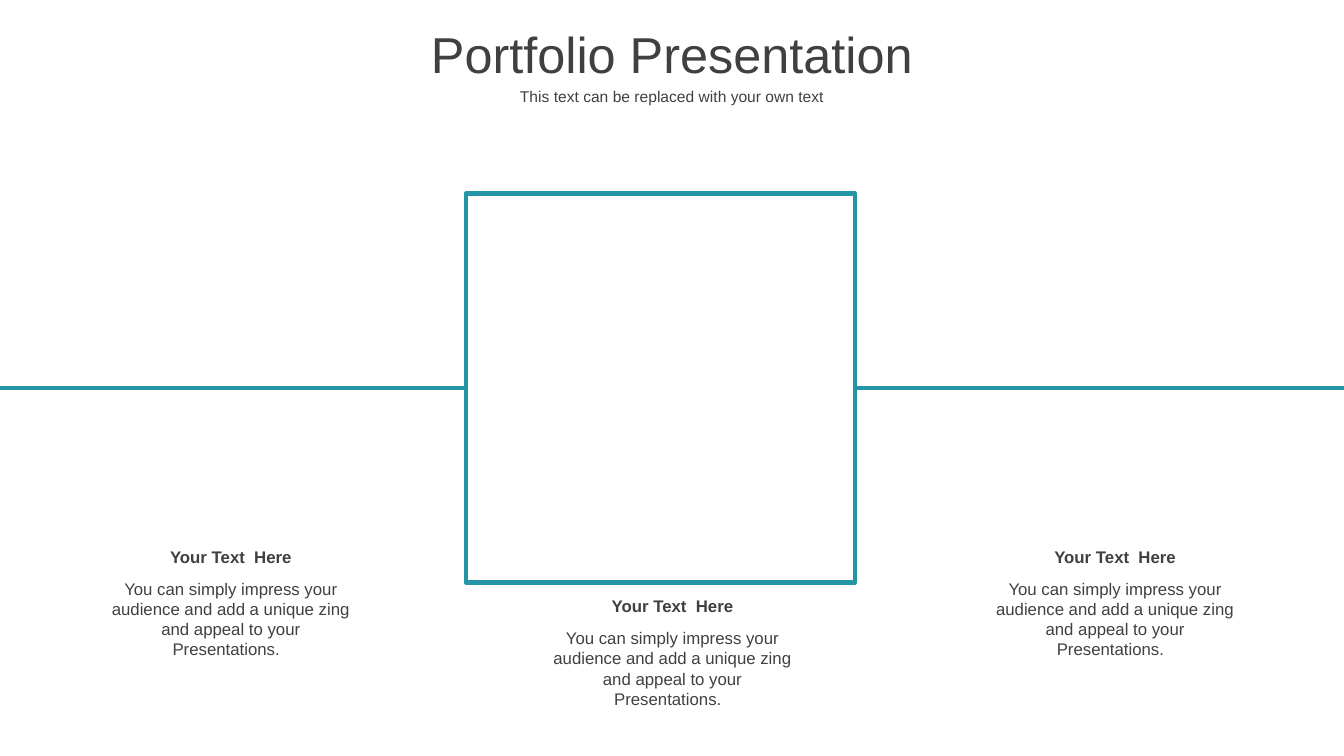
from pptx import Presentation
from pptx.dml.color import RGBColor
from pptx.enum.shapes import MSO_CONNECTOR as CONN, MSO_SHAPE as SHAPE
from pptx.enum.text import MSO_ANCHOR as ANCHOR, MSO_AUTO_SIZE as AUTO, PP_ALIGN as ALIGN
from pptx.oxml.ns import qn
from pptx.util import Inches, Pt
from lxml import etree

TEAL = RGBColor(0x23, 0x95, 0xA6)
GREY = RGBColor(0x40, 0x40, 0x40)
WHITE = RGBColor(0xFF, 0xFF, 0xFF)

prs = Presentation()
prs.slide_width, prs.slide_height = Inches(13.33), Inches(7.5)
s = prs.slides.add_slide(prs.slide_layouts[5])


def write(text, left, top, width, height, sp=None, size=12, bold=False,
          spacing=1.0, anchor=ANCHOR.TOP):
    """Place centred text in the given shape, or in a new text box."""
    box = [Inches(v) for v in (left, top, width, height)]
    sp = sp or s.shapes.add_textbox(*box)
    sp.left, sp.top, sp.width, sp.height = box
    tf = sp.text_frame
    tf.word_wrap = True
    tf.auto_size = AUTO.NONE
    tf.vertical_anchor = anchor
    p = tf.paragraphs[0]
    p.alignment = ALIGN.CENTER
    p.line_spacing = spacing
    r = p.add_run()
    r.text = text
    r.font.name = "Arial"
    r.font.size = Pt(size)
    r.font.bold = bold
    r.font.color.rgb = GREY


# Title and subtitle
write("Portfolio Presentation", 0, 0.29, 13.33, 0.55, sp=s.shapes.title,
      size=36, spacing=0.9, anchor=ANCHOR.MIDDLE)
write("This text can be replaced with your own text", 0, 0.86, 13.33, 0.24,
      size=11.1, spacing=0.7, anchor=ANCHOR.MIDDLE)

# Line across the slide, passing behind the frame
line = s.shapes.add_connector(CONN.STRAIGHT, 0, Inches(3.85), Inches(13.33), Inches(3.85))
etree.SubElement(line._element.spPr, qn("a:effectLst"))

# Square frame
frame = s.shapes.add_shape(SHAPE.RECTANGLE, Inches(4.62), Inches(1.92),
                           Inches(3.86), Inches(3.86))
frame.shadow.inherit = False
frame.fill.solid()
frame.fill.fore_color.rgb = WHITE

for sp in (line, frame):
    sp.line.color.rgb = TEAL
    sp.line.width = Pt(3)

# Captions: heading with a description below
for left, top in ((0.95, 5.37), (5.33, 5.86), (9.72, 5.37)):
    write("Your Text  Here", left, top, 2.68, 0.3, bold=True)
    write("You can simply impress your audience and add a unique zing "
          "and appeal to your Presentations.  ", left, top + 0.32, 2.68, 0.71)

prs.save("out.pptx")
